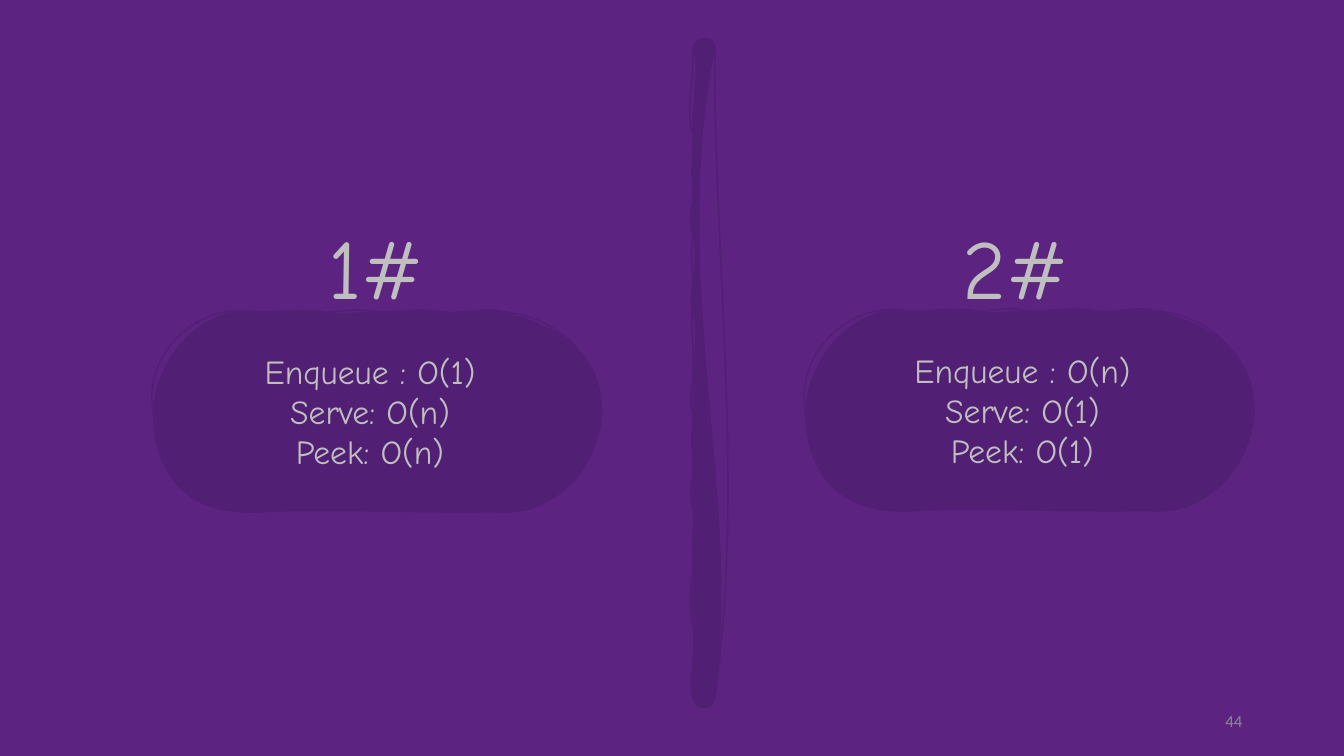
import math

from lxml import etree
from pptx import Presentation, util as u
from pptx.dml.color import RGBColor
from pptx.enum import text
from pptx.oxml import ns

COLOURS = {"background": "5C2381", "ink": "511F73", "label": "BFBFBF", "number": "8C8C8C"}

# Each outline is a start point followed by Bezier triples, in inches
PILL_SKETCH = [
    (2.51, 3.09), (1.92, 3), (1.41, 3.55), (1.52, 4.09),
    (1.52, 4.6), (2.06, 5.08), (2.51, 5.08), (3.27, 5.05), (4.3, 4.92), (4.97, 5.08),
    (5.53, 5.06), (5.91, 4.67), (5.97, 4.09), (5.92, 3.54), (5.56, 3.14), (4.97, 3.09),
    (4.8, 3.04), (4.55, 3.13), (4.36, 3.09), (4.17, 3.05), (4, 3.15), (3.72, 3.09),
    (3.43, 3.04), (3.29, 3.13), (3.18, 3.09), (3.06, 3.06), (2.82, 3.14), (2.51, 3.09),
]
PILL_BODY = [
    (2.51, 3.09), (2.04, 3.02), (1.53, 3.53), (1.52, 4.09),
    (1.5, 4.64), (1.82, 5.12), (2.51, 5.08), (3.34, 5.05), (4.16, 5.1), (4.97, 5.08),
    (5.47, 5.13), (5.95, 4.66), (5.97, 4.09), (5.98, 3.47), (5.5, 3.21), (4.97, 3.09),
    (4.78, 3.04), (4.48, 3.14), (4.33, 3.09), (4.18, 3.04), (3.89, 3.1), (3.77, 3.09),
    (3.65, 3.08), (3.3, 3.14), (3.13, 3.09), (2.95, 3.05), (2.7, 3.1), (2.51, 3.09),
]
DIVIDER_SKETCH = [
    (6.87, 0.49), (6.88, 0.43), (6.92, 0.39), (6.98, 0.38),
    (7.05, 0.37), (7.09, 0.43), (7.09, 0.49), (7.07, 2.44), (7.39, 4.84), (7.09, 6.91),
    (7.09, 6.97), (7.04, 7.02), (6.98, 7.02), (6.92, 7.01), (6.87, 6.97), (6.87, 6.91),
    (6.82, 6.72), (6.92, 6.47), (6.87, 6.2), (6.81, 5.94), (6.88, 5.75), (6.87, 5.5),
    (6.86, 5.24), (6.9, 5.23), (6.87, 5.05), (6.83, 4.87), (6.88, 4.72), (6.87, 4.54),
    (6.85, 4.36), (6.91, 4.28), (6.87, 4.09), (6.82, 3.89), (6.9, 3.71), (6.87, 3.38),
    (6.84, 3.05), (6.89, 2.95), (6.87, 2.74), (6.84, 2.53), (6.88, 2.28), (6.87, 2.03),
    (6.85, 1.78), (6.94, 1.59), (6.87, 1.32), (6.79, 1.05), (6.89, 0.88), (6.87, 0.49),
]
DIVIDER_BODY = [
    (6.87, 0.49), (6.86, 0.44), (6.91, 0.39), (6.98, 0.38),
    (7.04, 0.36), (7.1, 0.41), (7.09, 0.49), (6.63, 2.8), (7.37, 4.96), (7.09, 6.91),
    (7.1, 6.96), (7.05, 7.02), (6.98, 7.02), (6.91, 7.02), (6.88, 6.97), (6.87, 6.91),
    (6.84, 6.62), (6.92, 6.46), (6.87, 6.2), (6.82, 5.95), (6.88, 5.9), (6.87, 5.69),
    (6.85, 5.48), (6.92, 5.18), (6.87, 4.98), (6.82, 4.79), (6.9, 4.74), (6.87, 4.54),
    (6.83, 4.33), (6.88, 4.13), (6.87, 3.89), (6.85, 3.66), (6.94, 3.34), (6.87, 3.12),
    (6.8, 2.91), (6.94, 2.62), (6.87, 2.35), (6.79, 2.09), (6.9, 2.02), (6.87, 1.84),
    (6.83, 1.66), (6.89, 1.4), (6.87, 1.26), (6.84, 1.12), (6.95, 0.67), (6.87, 0.49),
]


def add_point(parent, point):
    etree.SubElement(parent, ns.qn("a:pt"), x=str(u.Inches(point[0])), y=str(u.Inches(point[1])))


def add_curves(outline, points):
    """Write a start point and Bezier triples into an outline element."""
    add_point(etree.SubElement(outline, ns.qn("a:moveTo")), points[0])
    for i in range(1, len(points), 3):
        curve = etree.SubElement(outline, ns.qn("a:cubicBezTo"))
        for point in points[i:i + 3]:
            add_point(curve, point)
    etree.SubElement(outline, ns.qn("a:close"))


class SlideMaker:
    def __init__(self, deck):
        self.page = deck.slides.add_slide(deck.slide_layouts[6])
        fill = self.page.background.fill
        fill.solid()
        fill.fore_color.rgb = self.colour("background")

    def colour(self, name):
        return RGBColor.from_string(COLOURS[name])

    def brushed(self, frame, angle, sketch, body, shift=(0, 0)):
        """Draw a turned freeform: a solid body and a loose pen line."""
        left, top, width, height = frame
        corners = [(left + width, top), (left + width, top + height), (left, top + height)]
        builder = self.page.shapes.build_freeform(u.Inches(left), u.Inches(top))
        builder.add_line_segments([tuple(map(u.Inches, corner)) for corner in corners])
        shape = builder.convert_to_shape()
        shape.rotation = angle
        shape.shadow.inherit = False
        shape.fill.solid()
        shape.fill.fore_color.rgb = self.colour("ink")
        shape.line.color.rgb = self.colour("ink")
        shape.line.width = u.Pt(1)

        # Curves replace the straight frame, turned back into its own axes
        cos, sin = math.cos(math.radians(angle)), math.sin(math.radians(angle))
        centre_x, centre_y = left + width / 2, top + height / 2
        outlines = next(shape._element.iter(ns.qn("a:pathLst")))
        size = {key: outlines[0].get(key) for key in ("w", "h")}
        outlines.remove(outlines[0])
        for points, hidden in ((sketch, {"fill": "none"}), (body, {"stroke": "0"})):
            offsets = [(x + shift[0] - centre_x, y + shift[1] - centre_y) for x, y in points]
            turned = [(width / 2 + dx * cos + dy * sin, height / 2 - dx * sin + dy * cos)
                      for dx, dy in offsets]
            add_curves(etree.SubElement(outlines, ns.qn("a:path"), **size, **hidden), turned)

    def label(self, place, lines, size, font="Comic Neue", colour="label",
              align=text.PP_ALIGN.CENTER, anchor=text.MSO_ANCHOR.TOP,
              fit=text.MSO_AUTO_SIZE.SHAPE_TO_FIT_TEXT):
        box = self.page.shapes.add_textbox(*map(u.Inches, place))
        frame = box.text_frame
        frame.word_wrap = True
        frame.auto_size = fit
        frame.vertical_anchor = anchor
        for i, line in enumerate(lines):
            para = frame.paragraphs[0] if i == 0 else frame.add_paragraph()
            para.alignment = align
            span = para.add_run()
            span.text = line
            span.font.size = u.Pt(size)
            span.font.name = font
            span.font.color.rgb = self.colour(colour)


def main():
    deck = Presentation()
    deck.slide_width, deck.slide_height = u.Inches(13.33), u.Inches(7.5)
    maker = SlideMaker(deck)

    # First pill and the divider
    maker.brushed((2.75, 1.86, 1.99, 4.45), 90, PILL_SKETCH, PILL_BODY)
    maker.brushed((6.87, 0.38, 0.22, 6.65), 180, DIVIDER_SKETCH, DIVIDER_BODY)

    # Page number
    maker.label((9.42, 6.95, 3, 0.4), ["44"], 12, "Calibri", "number",
                text.PP_ALIGN.RIGHT, text.MSO_ANCHOR.MIDDLE, text.MSO_AUTO_SIZE.NONE)

    # First costs, then both headings
    maker.label((2.37, 3.43, 2.6, 1.31), ["Enqueue : O(1)", "Serve: O(n)", "Peek: O(n)"], 24)
    for heading, left in (("1#", 0.08), ("2#", 6.42)):
        maker.label((left, 2.09, 7.3, 1.11), [heading], 60)

    # Second pill and costs
    maker.brushed((9.22, 1.85, 1.99, 4.45), 90, PILL_SKETCH, PILL_BODY, (6.47, -0.01))
    maker.label((8.84, 3.42, 2.6, 1.31), ["Enqueue : O(n)", "Serve: O(1)", "Peek: O(1)"], 24)

    deck.save("out.pptx")


if __name__ == "__main__":
    main()
